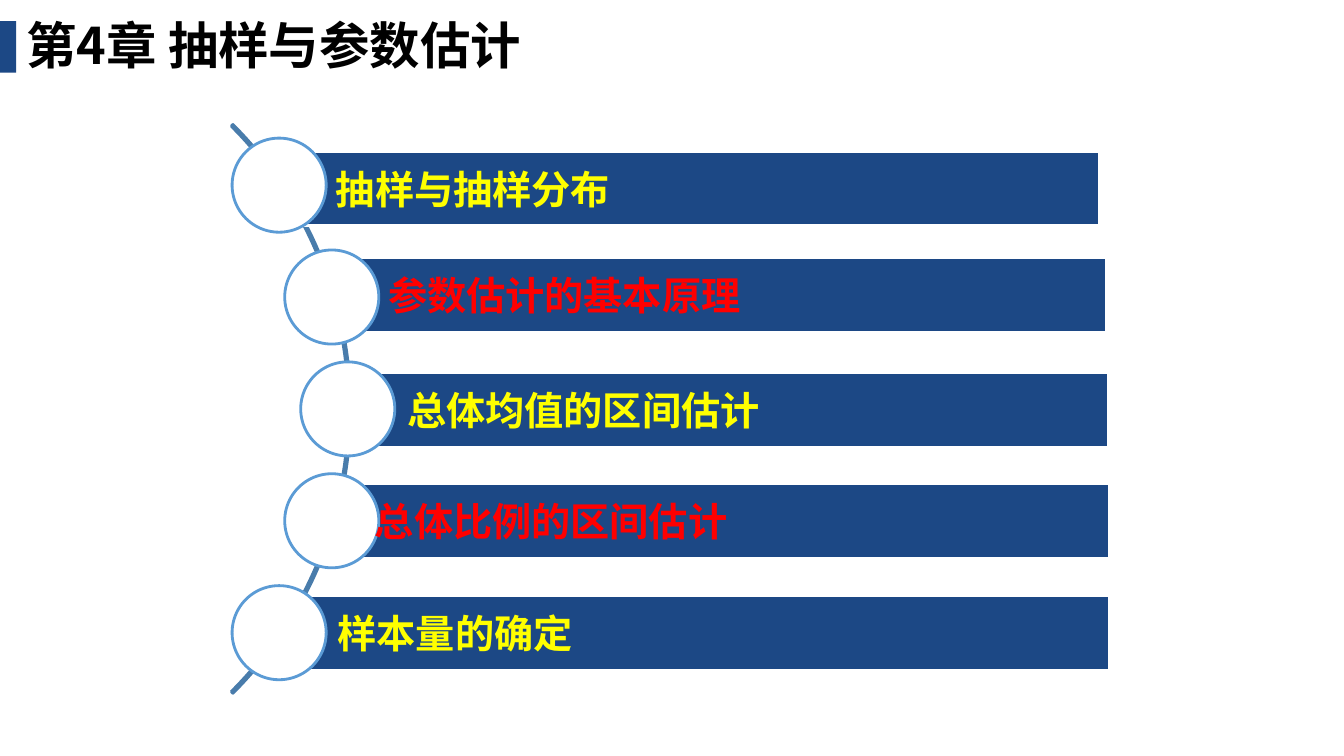
import math

import pptx
import pptx.util
import pptx.dml.color
import pptx.enum.shapes
import pptx.enum.text
import pptx.oxml.ns
from lxml import etree

COLS, ROWS = 40, 22.5
CELL = pptx.util.Inches(13.333) / COLS
FONT = "Noto Sans CJK SC"
NAVY, YELLOW, RED, WHITE = "1C4885", "FFFF00", "FF0000", "FFFFFF"
KIND = pptx.enum.shapes.MSO_SHAPE
HUB_X, HUB_Y, REACH = -1.53, 12.17, 11.88
ARC, DISC, PITCH, TALL = 23.94, 2.8, 3.33, 2.22
TOPICS = [
    ("抽样与抽样分布", YELLOW, 7.98, 32.73, 4.5, 10),
    ("参数估计的基本原理", RED, 9.78, 32.94, 7.68, 11.55),
    ("总体均值的区间估计", YELLOW, 10.35, 33, 11.1, 12.12),
    ("总体比例的区间估计", RED, 9.87, 33.03, 14.4, 11.16),
    ("样本量的确定", YELLOW, 8.28, 33.03, 17.73, 10.05),
]


def color(text):
    """Turn a hex string into a colour."""
    return pptx.dml.color.RGBColor.from_string(text)


def grid(*cells):
    """Turn grid cells into lengths."""
    return [pptx.util.Emu(round(cell * CELL)) for cell in cells]


def style(item, values):
    """Set attributes from a dict."""
    for name, value in values.items():
        setattr(item, name, value)


def shape(slide, kind, box, fill=None, line=None):
    """Add a preset shape with an optional fill and line."""
    item = slide.shapes.add_shape(kind, *grid(*box))
    item.shadow.inherit = False
    if fill:
        item.fill.solid()
        item.fill.fore_color.rgb = color(fill)
    else:
        item.fill.background()
    if line:
        item.line.color.rgb = color(line)
        item.line.width = pptx.util.Pt(2)
    else:
        item.line.fill.background()
    return item


def label(slide, text, box, size, tint):
    """Add one bold line of text, centred in height."""
    frame = slide.shapes.add_textbox(*grid(*box)).text_frame
    style(frame, {
        "word_wrap": True,
        "vertical_anchor": pptx.enum.text.MSO_ANCHOR.MIDDLE,
        "margin_left": 0, "margin_right": 0,
        "margin_top": 0, "margin_bottom": 0,
    })
    run = frame.paragraphs[0].add_run()
    run.text = text
    style(run.font, {"name": FONT, "size": pptx.util.Pt(size), "bold": True})
    run.font.color.rgb = color(tint)
    east = etree.SubElement(run.font._element, pptx.oxml.ns.qn("a:ea"))
    east.set("typeface", FONT)


def curve(slide):
    """Add the arc that links the discs."""
    box = (HUB_X - ARC / 2, HUB_Y - ARC / 2, ARC, ARC)
    arc = shape(slide, KIND.BLOCK_ARC, box, line="497CAB")
    for spot, value in enumerate((189, 27, 0.003)):
        arc.adjustments[spot] = value


def topic(slide, step, text, tint, left, right, top, start):
    """Add one bar, its disc on the arc and its label."""
    shape(slide, KIND.RECTANGLE, (left, top, right - left, TALL), NAVY, WHITE)
    rise = step * PITCH
    across = HUB_X + math.sqrt(REACH ** 2 - rise ** 2)
    disc = (across - DISC / 2, HUB_Y + rise - DISC / 2, DISC, DISC)
    shape(slide, KIND.OVAL, disc, WHITE, "5B9BD5")
    label(slide, text, (start, top, right - start, TALL), 28, tint)


def main():
    """Build the slide and save it."""
    deck = pptx.Presentation()
    deck.slide_width, deck.slide_height = grid(COLS, ROWS)
    slide = deck.slides.add_slide(deck.slide_layouts[6])
    label(slide, "第4章 抽样与参数估计", (0.78, 0.24, 18, 2.13), 36, "000000")
    shape(slide, KIND.RECTANGLE, (0, 0.63, 0.48, 1.53), NAVY)
    curve(slide)
    for step, row in enumerate(TOPICS, -2):
        topic(slide, step, *row)
    deck.save("out.pptx")


if __name__ == "__main__":
    main()
